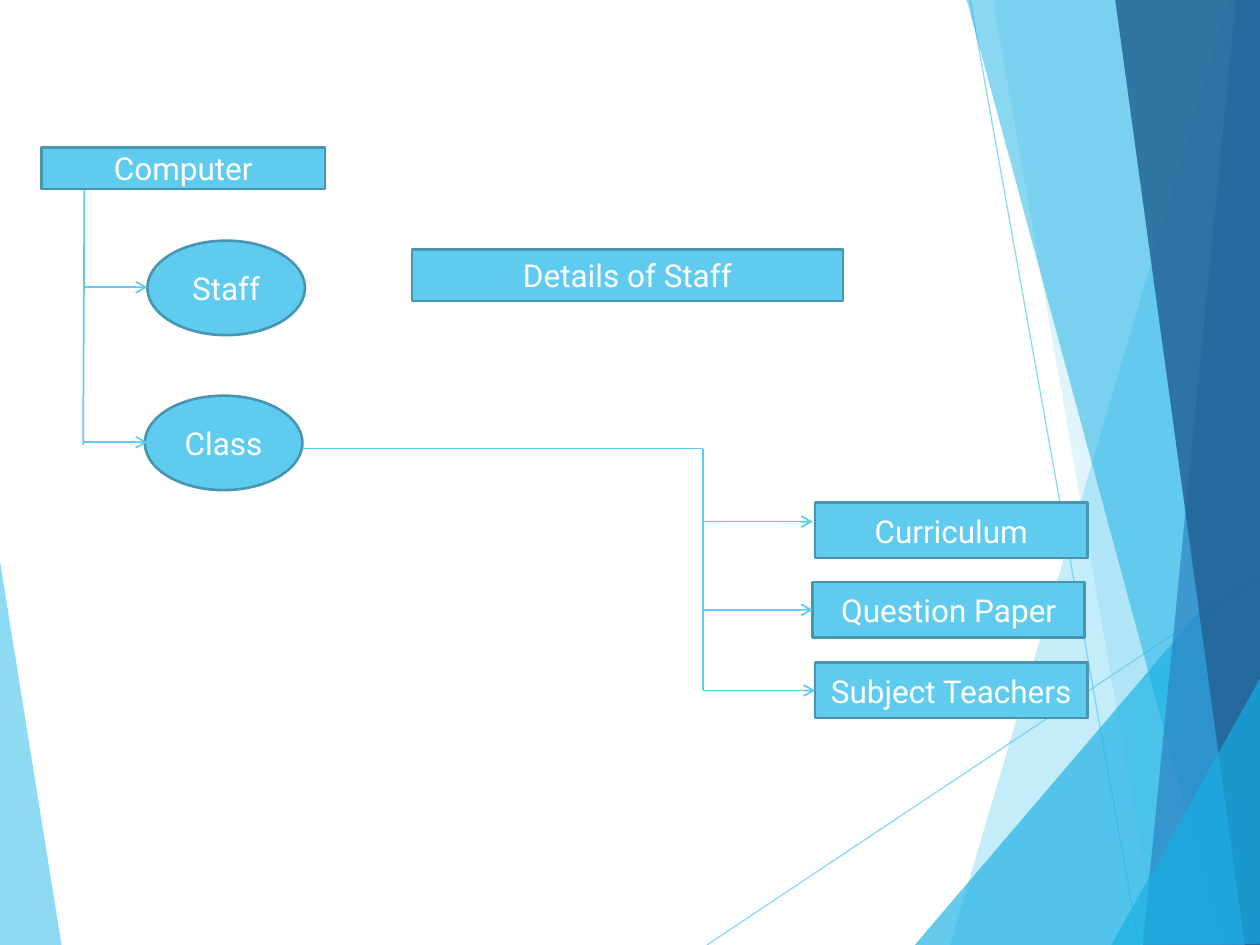
import pptx
import pptx.util
from pptx.dml.color import RGBColor
from pptx.enum.shapes import MSO_CONNECTOR, MSO_SHAPE
from pptx.enum.text import MSO_ANCHOR, PP_ALIGN
from pptx.oxml.ns import qn
from pptx.util import Inches
import lxml.etree

SKY = RGBColor(0x5F, 0xCB, 0xEF)
CYAN = RGBColor(0x17, 0xB0, 0xE4)
BLUE = RGBColor(0x2E, 0x83, 0xC3)
NAVY = RGBColor(0x22, 0x62, 0x92)
EDGE = RGBColor(0x46, 0x96, 0xB1)
WHITE = RGBColor(0xFF, 0xFF, 0xFF)

LEFT_FACET = [(-0.01, 4.39), (0.49, 7.51), (-0.01, 7.5)]
RAYS = [((5.61, 7.5), (10.01, 4.57)), ((7.7, 0), (9.04, 7.5))]
# Right-hand facets from back to front: colour, opacity in percent, corners
RIGHT_FACETS = [
    (SKY, 36, [(9.75, 0), (7.54, 7.5), (10.02, 7.51), (10.01, 0.01)]),
    (SKY, 20, [(7.88, -0.01), (9.19, 7.5), (10.01, 7.5), (10.01, -0.01)]),
    (CYAN, 66, [(7.26, 7.5), (10, 4.29), (10.01, 7.5)]),
    (CYAN, 50, [(7.67, -0.01), (9.7, 7.5), (10.01, 7.49), (10.01, -0.01)]),
    (BLUE, 70, [(9.81, -0.01), (9.07, 7.5), (10.01, 7.5), (10, -0.01)]),
    (NAVY, 82, [(8.85, -0.01), (9.88, 7.5), (10.02, 7.5), (10, -0.01)]),
    (CYAN, 66, [(8.82, 7.5), (10.02, 5.35), (10.02, 7.49)]),
]


def set_opacity(fill_parent, percent):
    color = fill_parent.find(qn("a:solidFill"))[0]
    lxml.etree.SubElement(color, qn("a:alpha"), val=str(percent * 1000))


def add_facet(page, color, opacity, corners):
    points = [(Inches(x), Inches(y)) for x, y in corners]
    builder = page.shapes.build_freeform(*points[0], scale=1.0)
    builder.add_line_segments(points[1:], close=True)
    facet = builder.convert_to_shape()
    facet.shadow.inherit = False
    facet.fill.solid()
    facet.fill.fore_color.rgb = color
    facet.line.fill.background()
    set_opacity(facet.element.spPr, opacity)


def add_line(page, start, end, width=1, opacity=None, arrow=False):
    line = page.shapes.add_connector(
        MSO_CONNECTOR.STRAIGHT, *[Inches(value) for value in (*start, *end)])
    line.line.color.rgb = SKY
    line.line.width = pptx.util.Pt(width)
    outline = line.line._get_or_add_ln()
    if opacity:
        set_opacity(outline, opacity)
    if arrow:
        lxml.etree.SubElement(outline, qn("a:tailEnd"), type="arrow")
    lxml.etree.SubElement(line._element.spPr, qn("a:effectLst"))
    return line


def write_text(shape, text, size=18, font="Roboto", color=WHITE):
    frame = shape.text_frame
    frame.word_wrap = True
    frame.vertical_anchor = MSO_ANCHOR.MIDDLE
    para = frame.paragraphs[0]
    para.alignment = PP_ALIGN.CENTER
    span = para.add_run()
    span.text = text
    span.font.size = pptx.util.Pt(size)
    span.font.name = font
    span.font.color.rgb = color


def add_node(page, text, left, top, width, height, kind=MSO_SHAPE.RECTANGLE):
    node = page.shapes.add_shape(
        kind, Inches(left), Inches(top), Inches(width), Inches(height))
    node.shadow.inherit = False
    node.fill.solid()
    node.fill.fore_color.rgb = SKY
    node.line.color.rgb = EDGE
    node.line.width = pptx.util.Pt(1.5)
    write_text(node, text)
    return node


def add_background(page):
    add_facet(page, SKY, 70, LEFT_FACET)
    for start, end in RAYS:
        add_line(page, start, end, width=0.75, opacity=70)
    for color, opacity, corners in RIGHT_FACETS:
        add_facet(page, color, opacity, corners)


def add_computer_branch(page):
    add_node(page, "Computer", 0.33, 1.17, 2.25, 0.33)
    add_node(page, "Staff", 1.17, 1.91, 1.25, 0.75, MSO_SHAPE.OVAL)
    add_node(page, "Class", 1.15, 3.14, 1.25, 0.75, MSO_SHAPE.OVAL)
    add_line(page, (0.67, 1.51), (0.66, 3.53))
    for y in (2.28, 3.51):
        add_line(page, (0.67, y), (1.17, y), arrow=True)
    add_node(page, "Details of Staff", 3.27, 1.98, 3.42, 0.41)


def add_class_branch(page):
    trunk = 5.58
    curriculum = ("Curriculum", 6.47, 3.99)
    question_paper = ("Question Paper", 6.45, 4.62)
    teachers = ("Subject Teachers", 6.47, 5.26)
    boxes = [add_node(page, *place, 2.16, 0.44)
             for place in (curriculum, question_paper, teachers)]
    # The lower two arrows meet the middle of the box's left side
    for box, y in zip(boxes[1:], (4.84, 5.48)):
        arrow = add_line(page, (trunk, y), (6.45, y), arrow=True)
        arrow.end_connect(box, 1)
    add_line(page, (trunk, 4.14), (6.45, 4.14), arrow=True)
    add_line(page, (2.4, 3.56), (trunk, 3.56))
    add_line(page, (trunk, 3.56), (trunk, 5.48))


def main():
    deck = pptx.Presentation()
    deck.slide_width = Inches(10)
    deck.slide_height = Inches(7.5)
    page = deck.slides.add_slide(deck.slide_layouts[6])
    add_background(page)
    add_computer_branch(page)
    add_class_branch(page)
    deck.save("out.pptx")


if __name__ == "__main__":
    main()
